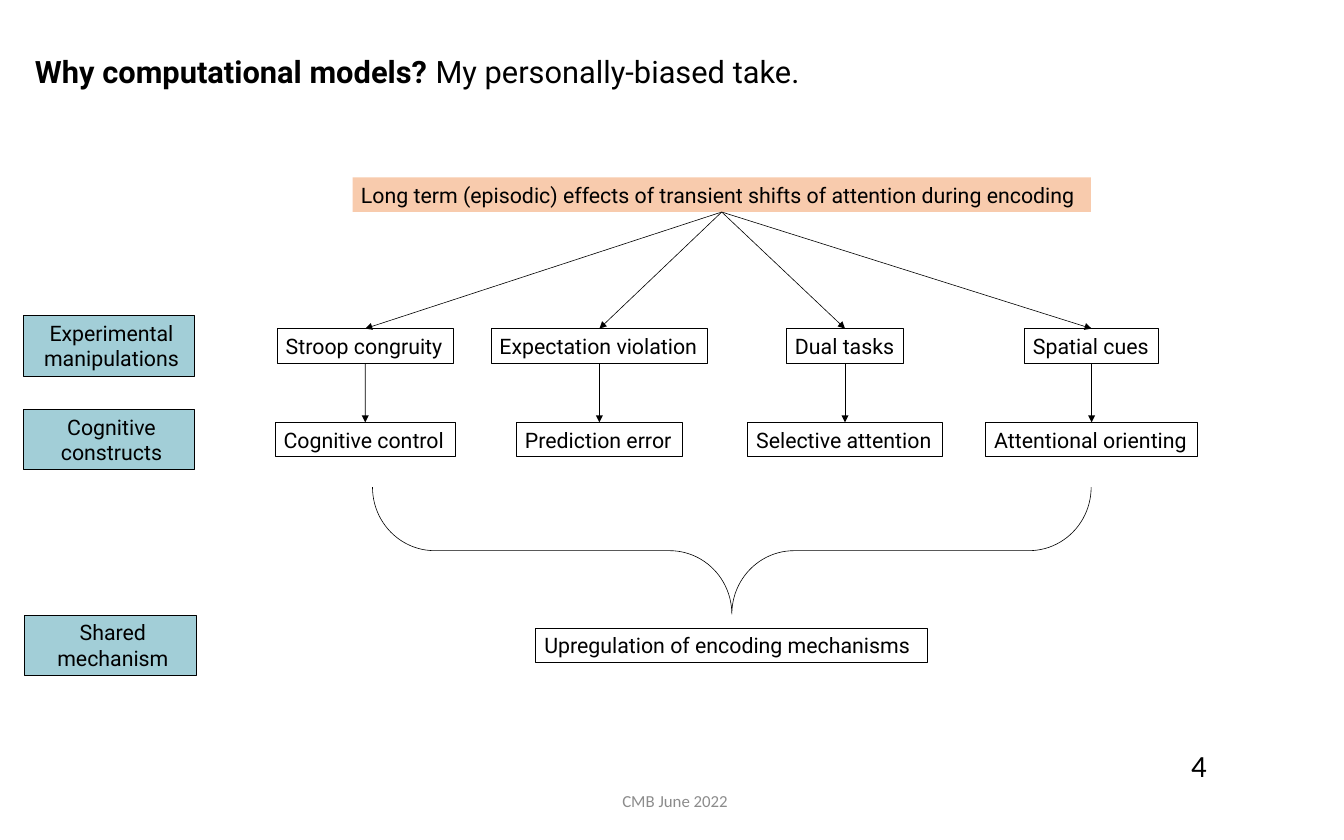
from collections import namedtuple

from lxml import etree
from pptx import Presentation
from pptx.dml.color import RGBColor
from pptx.enum.shapes import MSO_CONNECTOR, MSO_SHAPE
from pptx.enum.text import MSO_ANCHOR, MSO_AUTO_SIZE, PP_ALIGN
from pptx.oxml.ns import qn
from pptx.util import Cm, Pt

LEFT, CENTER, RIGHT = PP_ALIGN.LEFT, PP_ALIGN.CENTER, PP_ALIGN.RIGHT
TOP, MIDDLE, BOTTOM = MSO_ANCHOR.TOP, MSO_ANCHOR.MIDDLE, MSO_ANCHOR.BOTTOM
RECTANGLE, BRACE = MSO_SHAPE.RECTANGLE, MSO_SHAPE.RIGHT_BRACE
STRAIGHT = MSO_CONNECTOR.STRAIGHT
NO_AUTOSIZE = MSO_AUTO_SIZE.NONE

COLORS = {"ink": "000000", "peach": "F8CBAD", "teal": "A2CED7", "gray": "8C8C8C"}
BODY = {"name": "Roboto", "size": Pt(18)}
TITLE = {"name": "Roboto", "size": Pt(26)}
NUMBER = {"name": "Calibri", "size": Pt(26)}
FOOTER = {"name": "Calibri", "size": Pt(14.2)}
TIGHT = {"margin_left": Cm(0.25), "margin_right": Cm(0.1),
         "margin_top": Cm(0.13), "margin_bottom": Cm(0.13)}
WIDE = {"margin_left": Cm(0.3), "margin_right": Cm(0.3),
        "margin_top": Cm(0.15), "margin_bottom": Cm(0.15)}
NODE_HEIGHT, LABEL_HEIGHT = 1.03, 1.8

Box = namedtuple("Box", "left top width height")
Column = namedtuple("Column", "center manipulation width construct construct_width")

COLUMNS = [
    Column(10.87, "Stroop congruity", 5.23, "Cognitive control", 5.36),
    Column(17.84, "Expectation violation", 6.45, "Prediction error", 4.93),
    Column(25.15, "Dual tasks", 3.48, "Selective attention", 5.79),
    Column(32.49, "Spatial cues", 3.99, "Attentional orienting", 6.3),
]


def apply(target, values):
    """Set every attribute named in a dict of format values."""
    for name, value in values.items():
        setattr(target, name, value)


def color(name):
    """Return a palette colour."""
    return RGBColor.from_string(COLORS[name])


def lengths(box):
    """Turn a box in centimetres into lengths."""
    return [Cm(value) for value in box]


def write(shape, spans, font, align=LEFT, anchor=MIDDLE, margins=TIGHT, ink="ink"):
    """Fill a shape with one paragraph of (text, bold) spans."""
    frame = shape.text_frame
    apply(frame, {"word_wrap": True, "auto_size": NO_AUTOSIZE, "vertical_anchor": anchor})
    apply(frame, margins)
    para = frame.paragraphs[0]
    para.alignment = align
    for text, bold in spans:
        span = para.add_run()
        span.text = text
        apply(span.font, font)
        span.font.bold = bold
        span.font.color.rgb = color(ink)


def outline(line, width):
    """Draw a black line of the given width."""
    line.width = Pt(width)
    line.color.rgb = color("ink")


def add_preset(page, kind, box, fill=None, width=None):
    """Add a flat preset shape."""
    shape = page.shapes.add_shape(kind, *lengths(box))
    shape.shadow.inherit = False
    if fill:
        shape.fill.solid()
        shape.fill.fore_color.rgb = color(fill)
    else:
        shape.fill.background()
    if width:
        outline(shape.line, width)
    else:
        shape.line.fill.background()
    return shape


def add_node(page, text, center, top, width, fill=None, border=0.75):
    """Add a one-line box centred on a given position."""
    box = Box(center - width / 2, top, width, NODE_HEIGHT)
    node = add_preset(page, RECTANGLE, box, fill, border)
    write(node, [(text, False)], BODY, anchor=TOP)
    return node


def add_arrow(page, start, end):
    """Connect the bottom of one node to the top of another."""
    arrow = page.shapes.add_connector(STRAIGHT, 0, 0, 0, 0)
    arrow.begin_connect(start, 2)
    arrow.end_connect(end, 0)
    outline(arrow.line, 0.5)
    etree.SubElement(arrow.line._get_or_add_ln(), qn("a:tailEnd"), type="triangle")
    etree.SubElement(arrow._element.spPr, qn("a:effectLst"))


def add_title(page, box):
    """Place and format the slide title."""
    title = page.shapes.title
    apply(title, dict(zip(box._fields, lengths(box))))
    spans = [("Why computational models? ", True), ("My personally-biased take.", False)]
    write(title, spans, TITLE, margins=WIDE)


def add_row_label(page, text, box):
    """Add a teal label, vertically centred on the row of nodes in the box."""
    top = box.top + (box.height - LABEL_HEIGHT) / 2
    label = add_preset(page, RECTANGLE, Box(box.left, top, 5.11, LABEL_HEIGHT), "teal", 0.75)
    write(label, [(text, False)], BODY, CENTER, TOP)


def add_tree(page, box):
    """Draw the headline and its columns of manipulations and constructs."""
    headline = add_node(page, "Long term (episodic) effects of transient shifts of "
                        "attention during encoding", box.left + 20.79, box.top,
                        21.97, "peach", None)
    manipulation_top, construct_top = box.top + 4.5, box.top + 7.29
    for column in COLUMNS:
        manipulation = add_node(page, column.manipulation, column.center,
                                manipulation_top, column.width)
        construct = add_node(page, column.construct, column.center,
                             construct_top, column.construct_width)
        add_arrow(page, headline, manipulation)
        add_arrow(page, manipulation, construct)
    for text, top in (("Experimental manipulations", manipulation_top),
                      ("Cognitive constructs", construct_top)):
        add_row_label(page, text, Box(box.left, top, box.width, NODE_HEIGHT))


def add_shared_mechanism(page, box):
    """Draw the brace and the mechanism it leads to."""
    center, depth, span = box.left + 21.05, 3.78, 21.39
    middle = box.top + depth / 2
    brace_box = Box(center - depth / 2, middle - span / 2, depth, span)
    brace = add_preset(page, BRACE, brace_box, width=0.5)
    brace.rotation = 90
    brace.adjustments[0] = 0.49
    node_top = box.top + box.height - NODE_HEIGHT
    add_node(page, "Upregulation of encoding mechanisms", center, node_top, 11.66)
    add_row_label(page, "Shared mechanism", Box(box.left, node_top, box.width, NODE_HEIGHT))


def add_footer(page, box):
    """Write the slide number and the event line."""
    number = page.shapes.add_textbox(*lengths(Box(box.left + 15.42, box.top, 7.54, 0.76)))
    write(number, [("4", False)], NUMBER, RIGHT, BOTTOM, WIDE)
    event = page.shapes.add_textbox(*lengths(Box(box.left, box.top + 0.46, 13.51, 1.32)))
    write(event, [("CMB June 2022", False)], FOOTER, CENTER, ink="gray")


def main():
    """Build the deck."""
    deck = Presentation()
    deck.slide_width, deck.slide_height = Cm(40), Cm(25)
    page = deck.slides.add_slide(deck.slide_layouts[5])
    add_title(page, Box(0.74, 1.47, 24.49, 1.32))
    add_tree(page, Box(0.69, 5.28, 34.92, 8.32))
    add_shared_mechanism(page, Box(0.73, 14.5, 34.88, 5.22))
    add_footer(page, Box(13.26, 22.71, 22.96, 1.78))
    deck.save("out.pptx")


if __name__ == "__main__":
    main()
